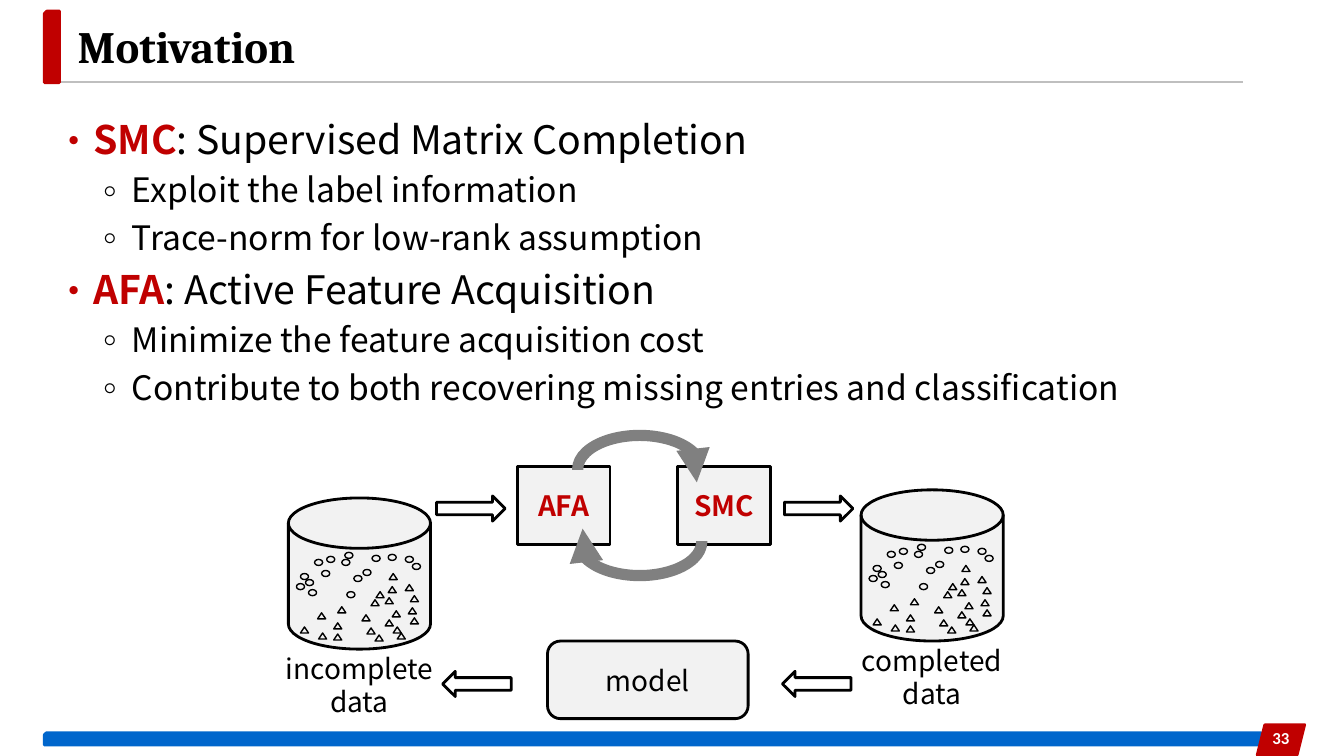
from lxml import etree
from pptx import Presentation
from pptx import util as u
from pptx.dml.color import RGBColor
from pptx.enum import shapes, text
from pptx.oxml.ns import qn

BLACK = RGBColor(0, 0, 0)
WHITE = RGBColor(0xFF, 0xFF, 0xFF)
RED = RGBColor(0xC0, 0, 0)
BLUE = RGBColor(0, 0x66, 0xCC)
PALE = RGBColor(0xF2, 0xF2, 0xF2)
GRAY = RGBColor(0x80, 0x80, 0x80)
RULE = RGBColor(0xBF, 0xBF, 0xBF)
SANS = "Noto Sans CJK SC"
KIND = shapes.MSO_SHAPE
ALIGN = text.PP_ALIGN
MID = text.MSO_ANCHOR.MIDDLE


class Deck:
    """Holds the style and the current slide."""

    def __init__(self):
        self.prs = Presentation()
        self.prs.slide_width = u.Inches(13.33)
        self.prs.slide_height = u.Inches(7.5)
        self.slide = self.prs.slides.add_slide(self.prs.slide_layouts[5])

    def run(self, para, words, size, color=BLACK, bold=False, font=SANS):
        run = para.add_run()
        run.text = words
        run.font.name = font
        run.font.size = u.Pt(size)
        run.font.bold = bold
        run.font.color.rgb = color

    def title(self, words, *box):
        head = self.slide.shapes.title
        head.left, head.top, head.width, head.height = map(u.Inches, box)
        head.text_frame.vertical_anchor = MID
        para = head.text_frame.paragraphs[0]
        para.alignment = ALIGN.LEFT
        self.run(para, words, 32, bold=True, font="Cambria")

    def line(self, x1, y1, x2, y2, color, width):
        line = self.slide.shapes.add_connector(
            shapes.MSO_CONNECTOR.STRAIGHT, *map(u.Inches, (x1, y1, x2, y2)))
        line.line.color.rgb = color
        line.line.width = u.Pt(width)
        etree.SubElement(line._element.spPr, qn("a:effectLst"))

    def shape(self, kind, *box, fill=None, color=BLACK, width=2, flip=False, turn=0):
        shape = self.slide.shapes.add_shape(kind, *map(u.Inches, box))
        shape.shadow.inherit = False
        if fill is None:
            shape.fill.background()
        else:
            shape.fill.solid()
            shape.fill.fore_color.rgb = fill
        shape.line.color.rgb = color
        shape.line.width = u.Pt(width)
        shape.rotation = turn
        if flip:
            shape._element.spPr.get_or_add_xfrm().set("flipH", "1")
        return shape

    def text(self, *box):
        area = self.slide.shapes.add_textbox(*map(u.Inches, box))
        area.text_frame.word_wrap = True
        return area

    def label(self, shape, words, size=20, anchor=MID, **style):
        frame = shape.text_frame
        frame.vertical_anchor = anchor
        para = frame.paragraphs[0]
        para.alignment = ALIGN.CENTER
        para.line_spacing = u.Pt(size * 1.2)
        self.run(para, words, size, **style)

    def bullet(self, para, level, first):
        size, mark, color, left, hang = (
            (28, "•", RED, 0.31, 0.31), (24, "◦", BLACK, 0.77, 0.38))[level]
        props = para._p.get_or_add_pPr()
        props.set("marL", str(u.Inches(left)))
        props.set("indent", str(-u.Inches(hang)))
        tint = etree.SubElement(props, qn("a:buClr"))
        etree.SubElement(tint, qn("a:srgbClr")).set("val", str(color))
        etree.SubElement(props, qn("a:buFont")).set("typeface", SANS)
        etree.SubElement(props, qn("a:buChar")).set("char", mark)
        para.level = level
        para.line_spacing = u.Pt(round(size * 1.21, 1))
        para.space_before = u.Pt(0 if first else size * 0.2)
        return size

    def points(self, items, *box):
        frame = self.text(*box).text_frame
        for i, (level, key, words) in enumerate(items):
            para = frame.add_paragraph() if i else frame.paragraphs[0]
            size = self.bullet(para, level, not i)
            if key:
                self.run(para, key, size, RED, True)
            self.run(para, words, size)

    def drum(self, x, y, words, wide):
        self.shape(KIND.FLOWCHART_MAGNETIC_DISK, x, y, 1.41, 1.5, fill=PALE)
        for kind, spots in MARKS.items():
            for dx, dy in spots:
                self.shape(kind, x + dx / 100, y + dy / 100, 0.08, 0.06, width=1)
        self.label(self.text(x + (1.41 - wide) / 2, y + 1.75, wide, 0.21), words)

    def curve(self, x, y, turn):
        arc = self.shape(KIND.ARC, x, y, 1.23, 0.67, color=GRAY, width=8, turn=turn)
        arc.adjustments[0] = 107.61
        arc.adjustments[1] = 7.76
        etree.SubElement(arc.line._get_or_add_ln(), qn("a:tailEnd")).set("type", "triangle")


# Marks inside a drum, in hundredths of an inch from its corner
MARKS = {
    KIND.OVAL: [
        (26, 61), (38, 58), (56, 54), (12, 75), (99, 56), (58, 93), (53, 61), (33, 72),
        (65, 77), (83, 57), (116, 58), (123, 65), (74, 71), (17, 81), (20, 91), (8, 85)],
    KIND.ISOSCELES_TRIANGLE: [
        (73, 116), (29, 114), (49, 108), (30, 134), (78, 129), (108, 134), (103, 112),
        (86, 136), (12, 128), (119, 109), (45, 135), (45, 124), (96, 121), (121, 119),
        (104, 128), (87, 93), (82, 101), (96, 99), (121, 97), (116, 86), (99, 88), (100, 75)],
}
POINTS = [
    (0, "SMC", ": Supervised Matrix Completion"),
    (1, "", "Exploit the label information"),
    (1, "", "Trace-norm for low-rank assumption"),
    (0, "AFA", ": Active Feature Acquisition"),
    (1, "", "Minimize the feature acquisition cost"),
    (1, "", "Contribute to both recovering missing entries and classification"),
]


def main():
    deck = Deck()

    # Frame and title
    deck.line(0.59, 0.81, 12.33, 0.81, RULE, 1.5)
    deck.shape(KIND.SNIP_1_RECTANGLE, 0.44, 0.11, 0.15, 0.71, fill=RED, color=RED, flip=True)
    deck.shape(KIND.SNIP_1_RECTANGLE, 0.44, 7.27, 12.07, 0.12, fill=BLUE, color=BLUE, flip=True)
    deck.shape(KIND.PARALLELOGRAM, 12.47, 7.19, 0.47, 0.3, fill=RED, color=RED)
    deck.title("Motivation", 0.67, 0.23, 12, 0.45)

    # Bullet points
    deck.points(POINTS, 0.44, 1.09, 12.45, 5.97)

    # Data drums and model
    deck.drum(2.86, 4.94, "incomplete data", 1.79)
    deck.drum(8.54, 4.86, "completed data", 1.63)
    model = deck.shape(KIND.FLOWCHART_ALTERNATE_PROCESS, 5.43, 6.36, 1.99, 0.77, fill=PALE)
    deck.label(model, "model")

    # Flow arrows
    for x, y, turn in ((4.33, 4.92, 0), (7.78, 4.92, 0), (4.39, 6.66, 180), (7.76, 6.66, 180)):
        deck.shape(KIND.RIGHT_ARROW, x, y, 0.68, 0.25, fill=WHITE, turn=turn)

    # Loop between the two steps
    for x, name in ((5.13, "AFA"), (6.72, "SMC")):
        step = deck.shape(KIND.RECTANGLE, x, 4.63, 0.92, 0.77, fill=PALE)
        deck.label(step, name, color=RED, bold=True)
    for y, turn in ((4.32, 0), (5.04, 180)):
        deck.curve(5.73, y, turn)

    # Page number
    deck.label(deck.text(12.14, 7.17, 1.13, 0.4), "33", 12, text.MSO_ANCHOR.TOP,
               color=WHITE, bold=True, font="Calibri")

    deck.prs.save("out.pptx")


if __name__ == "__main__":
    main()
